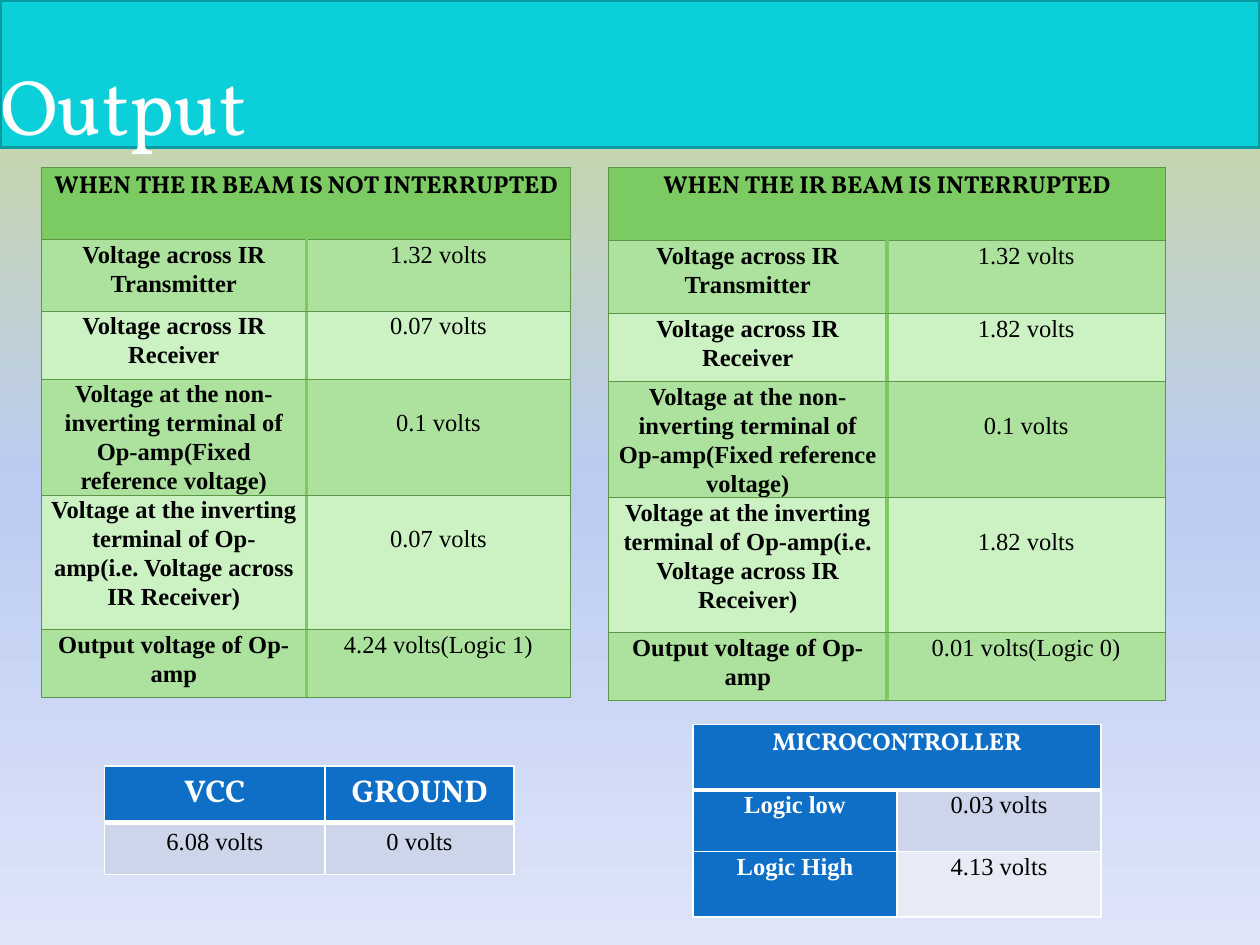
from copy import deepcopy
from dataclasses import dataclass

from lxml import etree
from pptx import Presentation
from pptx import util as u
from pptx.dml.color import RGBColor
from pptx.enum import text
from pptx.oxml import ns

CYAN = RGBColor(0x0B, 0xD0, 0xD9)
TEAL = RGBColor(0x08, 0x9A, 0xA1)
BLUE = RGBColor(0x0F, 0x6F, 0xC6)
BLUE_BAND = RGBColor(0xCC, 0xD5, 0xEA)
BLUE_PALE = RGBColor(0xE7, 0xEB, 0xF5)
GREEN = RGBColor(0x7C, 0xCA, 0x62)
GREEN_DARK = RGBColor(0x5B, 0x97, 0x47)
GREEN_BAND = RGBColor(0xAC, 0xE2, 0x9D)
GREEN_PALE = RGBColor(0xCC, 0xF2, 0xC4)
WHITE = RGBColor(0xFF, 0xFF, 0xFF)
BLACK = RGBColor(0, 0, 0)
BACKDROP = [
    (0, RGBColor(0xC9, 0xDA, 0x92)),
    (0.51, RGBColor(0xBB, 0xCB, 0xF2)),
    (1, RGBColor(0xDE, 0xE5, 0xF8)),
]
SERIF = "Times New Roman"
DISPLAY = "Vollkorn"


@dataclass
class Border:
    color: RGBColor
    width: float


@dataclass
class CellStyle:
    fill: RGBColor
    borders: dict[str, Border]
    color: RGBColor = BLACK
    font: str = SERIF
    size: float = 14
    bold: bool = False
    spacing: float = 1.07
    margin_x: float = 0.07
    margin_top: float = 0
    margin_bottom: float = 0


@dataclass
class Readings:
    left: float
    col_width: float
    rows: list[float]
    heading: str
    values: list[str]


LABELS = [
    "Voltage across IR Transmitter",
    "Voltage across IR Receiver",
    "Voltage at the non-inverting terminal of Op-amp(Fixed reference voltage)",
    "Voltage at the inverting terminal of Op-amp(i.e. Voltage across IR Receiver)",
    "Output voltage of Op-amp",
]
LOWERED_ROWS = (3, 4)
READINGS = [
    Readings(0.33, 2.1, [0.57, 0.57, 0.54, 0.85, 1.07, 0.54],
             "WHEN THE IR BEAM IS NOT INTERRUPTED",
             ["1.32 volts", "0.07 volts", "0.1 volts", "0.07 volts", "4.24 volts(Logic 1)"]),
    Readings(4.83, 2.21, [0.58, 0.58, 0.54, 0.86, 1.07, 0.54],
             "WHEN THE IR BEAM IS INTERRUPTED",
             ["1.32 volts", "1.82 volts", "0.1 volts", "1.82 volts", "0.01 volts(Logic 0)"]),
]


def edges(line: Border, **changes: Border) -> dict[str, Border]:
    return {side: changes.get(side, line) for side in "LRTB"}


def set_borders(cell, borders: dict[str, Border]) -> None:
    tc_pr = cell._tc.get_or_add_tcPr()
    for i, (side, border) in enumerate(borders.items()):
        ln = etree.Element(ns.qn(f"a:ln{side}"), w=str(u.Pt(border.width)))
        fill = etree.SubElement(ln, ns.qn("a:solidFill"))
        etree.SubElement(fill, ns.qn("a:srgbClr"), val=str(border.color))
        tc_pr.insert(i, ln)


def style_cell(cell, words: str, style: CellStyle) -> None:
    cell.fill.solid()
    cell.fill.fore_color.rgb = style.fill
    set_borders(cell, style.borders)
    cell.margin_left = cell.margin_right = u.Inches(style.margin_x)
    cell.margin_top = u.Inches(style.margin_top)
    cell.margin_bottom = u.Inches(style.margin_bottom)
    if not words:
        return
    p = cell.text_frame.paragraphs[0]
    p.alignment = text.PP_ALIGN.CENTER
    p.line_spacing = style.spacing
    r = p.add_run()
    r.text = words
    r.font.name = style.font
    r.font.size = u.Pt(style.size)
    r.font.bold = style.bold
    r.font.color.rgb = style.color


def add_grid(s, left: float, top: float, cols: list[float], rows: list[float]):
    frame = s.shapes.add_table(len(rows), len(cols), u.Inches(left), u.Inches(top),
                               u.Inches(sum(cols)), u.Inches(sum(rows)))
    table = frame.table
    table.first_row = table.horz_banding = False
    for col, width in zip(table.columns, cols):
        col.width = u.Inches(width)
    for row, height in zip(table.rows, rows):
        row.height = u.Inches(height)
    return table


def add_heading(table, words: str, style: CellStyle, end_style: CellStyle) -> None:
    table.cell(0, 0).merge(table.cell(0, 1))
    style_cell(table.cell(0, 0), words, style)
    style_cell(table.cell(0, 1), "", end_style)


def add_readings(s, data: Readings) -> None:
    table = add_grid(s, data.left, 1.33, [data.col_width] * 2, data.rows)
    thin, thick = Border(GREEN_DARK, 0.75), Border(GREEN, 2)
    heading = CellStyle(GREEN, edges(thin), font=DISPLAY, bold=True)
    add_heading(table, data.heading, heading, CellStyle(GREEN, edges(thin, R=thick)))
    for i, (label, value) in enumerate(zip(LABELS, data.values), 1):
        fill = GREEN_BAND if i % 2 else GREEN_PALE
        drop = 0.23 if i in LOWERED_ROWS else 0
        style_cell(table.cell(i, 0), label, CellStyle(fill, edges(thin, R=thick), bold=True))
        style_cell(table.cell(i, 1), value,
                   CellStyle(fill, edges(thin, L=thick), margin_top=drop))


def add_logic_levels(s) -> None:
    table = add_grid(s, 5.5, 5.75, [1.62, 1.62], [0.52, 0.49, 0.52])
    thin, thick = Border(WHITE, 1), Border(WHITE, 3)
    heading = CellStyle(BLUE, edges(thin, B=thick), WHITE, DISPLAY, bold=True)
    add_heading(table, "MICROCONTROLLER", heading, heading)
    levels = [("Logic low", "0.03 volts", BLUE_BAND), ("Logic High", "4.13 volts", BLUE_PALE)]
    for i, (label, value, fill) in enumerate(levels, 1):
        borders = edges(thin, T=thick) if i == 1 else edges(thin)
        style_cell(table.cell(i, 0), label, CellStyle(BLUE, borders, WHITE, bold=True))
        style_cell(table.cell(i, 1), value, CellStyle(fill, borders))


def add_supply(s) -> None:
    table = add_grid(s, 0.83, 6.08, [1.75, 1.5], [0.41, 0.41])
    thin, thick = Border(WHITE, 1), Border(WHITE, 3)
    room = dict(spacing=1.0, margin_x=0.1, margin_top=0.05, margin_bottom=0.05)
    heading = CellStyle(BLUE, edges(thin, B=thick), WHITE, DISPLAY, 18, True, **room)
    body = CellStyle(BLUE_BAND, edges(thin, T=thick), **room)
    for j, (label, value) in enumerate([("VCC", "6.08 volts"), ("GROUND", "0 volts")]):
        style_cell(table.cell(0, j), label, heading)
        style_cell(table.cell(1, j), value, body)


def set_background(s) -> None:
    fill = s.background.fill
    fill.gradient()
    fill.gradient_angle = 270
    stops = fill._fill._gradFill.gsLst
    stops.append(deepcopy(stops[-1]))
    for stop, (position, color) in zip(fill.gradient_stops, BACKDROP):
        stop.position = position
        stop.color.rgb = color


def set_title(s) -> None:
    sp = s.shapes.title
    sp.left, sp.top, sp.width, sp.height = 0, 0, u.Inches(10), u.Inches(1.17)
    sp.fill.solid()
    sp.fill.fore_color.rgb = CYAN
    sp.line.color.rgb = TEAL
    sp.line.width = u.Pt(2)
    tf = sp.text_frame
    tf.auto_size = text.MSO_AUTO_SIZE.NONE
    tf.vertical_anchor = text.MSO_ANCHOR.TOP
    tf.margin_left = tf.margin_right = tf.margin_bottom = 0
    tf.margin_top = u.Inches(0.45)
    p = tf.paragraphs[0]
    p.alignment = text.PP_ALIGN.LEFT
    r = p.add_run()
    r.text = "Output"
    r.font.name = DISPLAY
    r.font.size = u.Pt(45)
    r.font.color.rgb = WHITE


def main() -> None:
    prs = Presentation()
    prs.slide_width, prs.slide_height = u.Inches(10), u.Inches(7.5)
    s = prs.slides.add_slide(prs.slide_layouts[5])
    set_background(s)
    set_title(s)
    for data in READINGS:
        add_readings(s, data)
    add_logic_levels(s)
    add_supply(s)
    prs.save("out.pptx")


if __name__ == "__main__":
    main()
